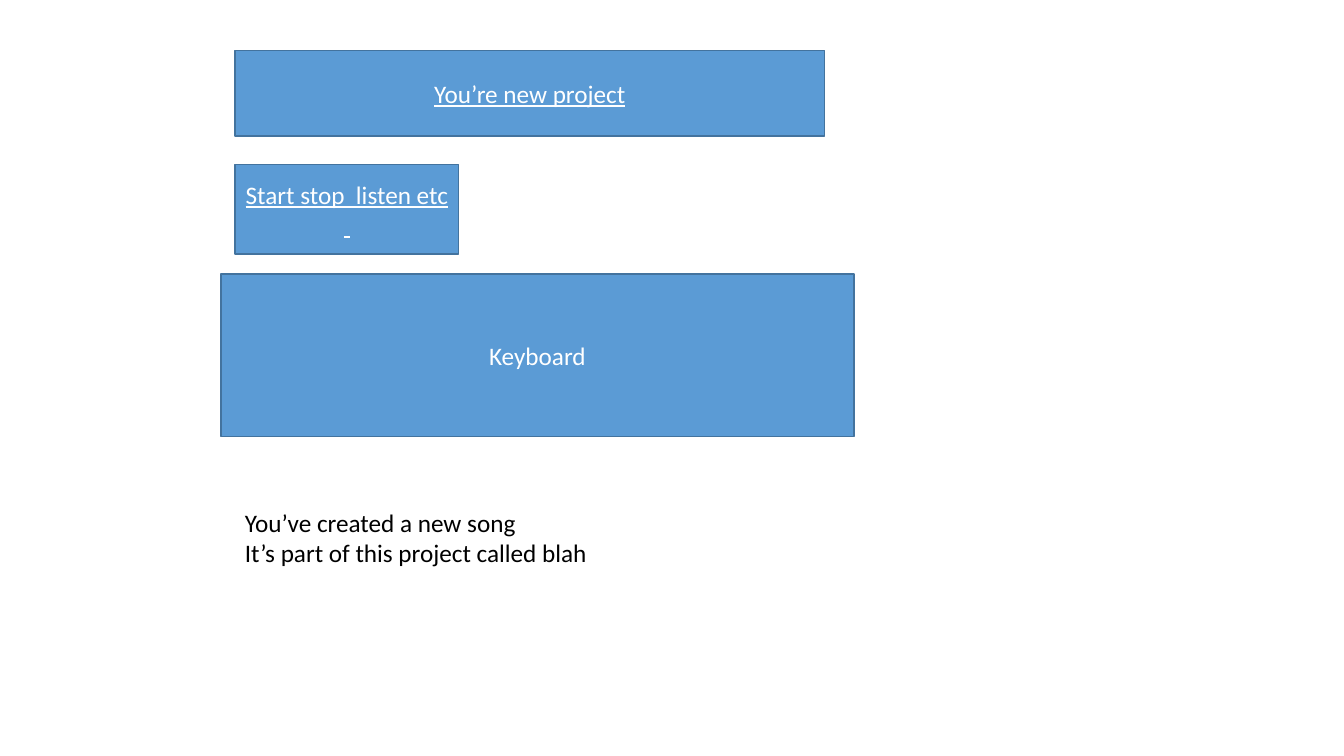
from pptx import Presentation
from pptx.dml.color import RGBColor
from pptx.enum.shapes import MSO_SHAPE
from pptx.enum.text import MSO_ANCHOR, MSO_AUTO_SIZE, PP_ALIGN
from pptx.util import Inches, Pt

RECT = MSO_SHAPE.RECTANGLE
MIDDLE = MSO_ANCHOR.MIDDLE
CENTER = PP_ALIGN.CENTER
GROW = MSO_AUTO_SIZE.SHAPE_TO_FIT_TEXT

FONT = "Calibri"
SIZE = 18
BLANK = 6
LEFT = 2.33
COLORS = {"fill": "5B9BD5", "edge": "43739E", "light": "FFFFFF", "dark": "000000"}


def color(name):
    return RGBColor.from_string(COLORS[name])


def style(frame, name, align=None, under=None):
    for para in frame.paragraphs:
        para.alignment = align
        for run in para.runs:
            font = run.font
            font.name = FONT
            font.size = Pt(SIZE)
            font.underline = under
            font.color.rgb = color(name)


def add_box(slide, text, left, top, width, height, under=None):
    box = slide.shapes.add_shape(
        RECT, Inches(left), Inches(top), Inches(width), Inches(height))
    box.shadow.inherit = False
    box.fill.solid()
    box.fill.fore_color.rgb = color("fill")
    box.line.color.rgb = color("edge")
    box.line.width = Pt(1)
    frame = box.text_frame
    frame.word_wrap = True
    frame.vertical_anchor = MIDDLE
    frame.text = text
    style(frame, "light", CENTER, under)


def add_note(slide, text, left, top, width, height):
    note = slide.shapes.add_textbox(
        Inches(left), Inches(top), Inches(width), Inches(height))
    frame = note.text_frame
    frame.word_wrap = False
    frame.auto_size = GROW
    frame.text = text
    style(frame, "dark")


def main():
    deck = Presentation()
    deck.slide_width = Inches(13.33)
    deck.slide_height = Inches(7.5)
    slide = deck.slides.add_slide(deck.slide_layouts[BLANK])

    # Parts of the project screen
    add_box(slide, "Keyboard", 2.19, 2.72, 6.28, 1.61)
    add_box(slide, "You’re new project", LEFT, 0.5, 5.85, 0.85, under=True)
    add_box(slide, "Start stop  listen etc  ", LEFT, 1.63, 2.22, 0.89, under=True)

    # Message below the keyboard
    add_note(slide, "You’ve created a new song\nIt’s part of this project called blah ",
             LEFT, 4.98, 3.69, 0.71)

    deck.save("out.pptx")


main()
